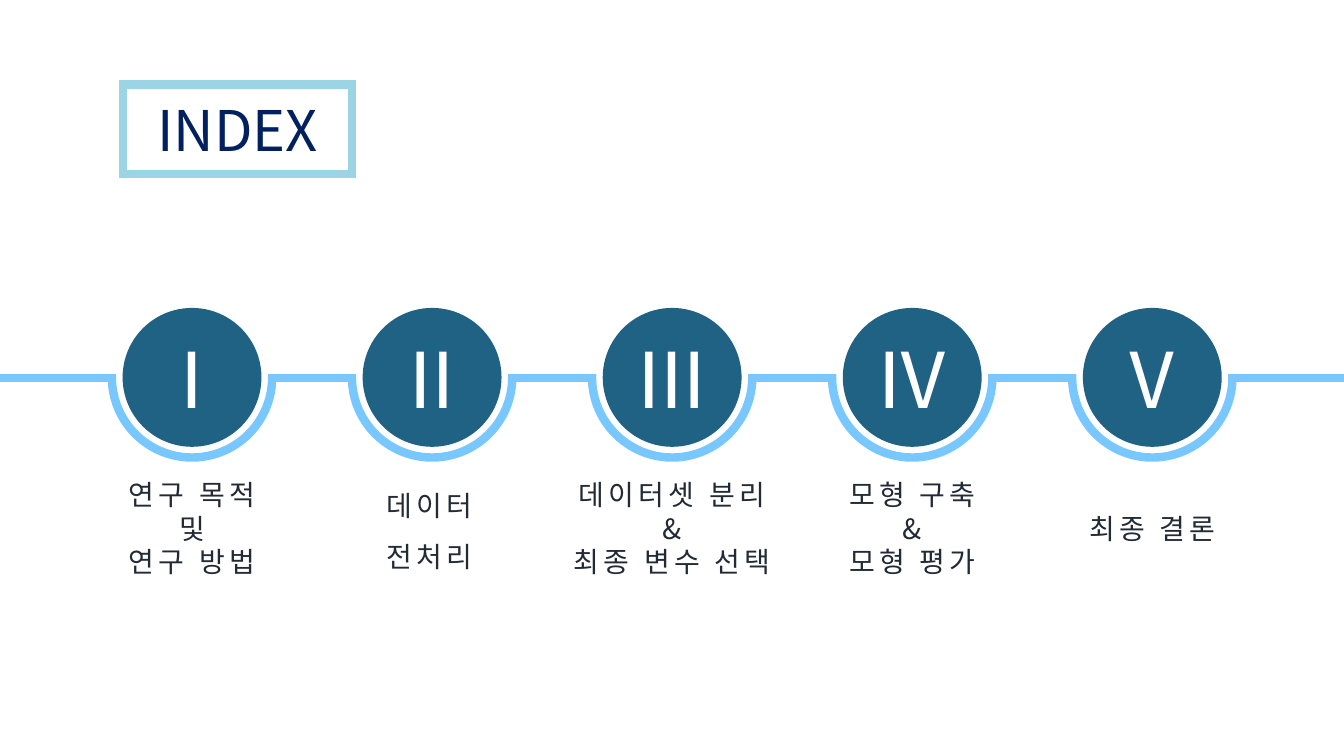
from lxml import etree
from pptx import Presentation
from pptx.dml.color import RGBColor
from pptx.enum.shapes import MSO_CONNECTOR as Link, MSO_SHAPE as Form
from pptx.enum.text import MSO_ANCHOR as Anchor, MSO_AUTO_SIZE as Fit, PP_ALIGN as Align
from pptx.oxml.ns import qn
from pptx.util import Cm, Pt

FACE = "Noto Sans CJK KR"
WIDE, HIGH = 33.87, 19.05
SKY, TEAL, WHITE, NAVY, INK = "79C7FF", "1F6283", "FFFFFF", "002060", "222A35"
FIRST, STEP, AXIS = 4.84, 6.05, 9.51

# Numeral, label lines, label width, label middle, paragraph format
STAGES = [
    ("Ⅰ", ["연구 목적", "및", "연구 방법"], 3.84, 13.3, {"alignment": Align.CENTER}),
    ("Ⅱ", ["데이터", "전처리"], 2.8, 13.16,
     {"alignment": Align.JUSTIFY, "line_spacing": 1.5}),
    ("Ⅲ", ["데이터셋 분리", "&", "최종 변수 선택"], 5.61, 13.3, {"alignment": Align.CENTER}),
    ("Ⅳ", ["모형 구축", "&", "모형 평가"], 3.84, 13.3, {"alignment": Align.CENTER}),
    ("Ⅴ", ["최종 결론"], 3.84, 13.3, {"alignment": Align.CENTER}),
]


def color(code):
    return RGBColor.from_string(code)


def apply(item, style):
    for name, value in style.items():
        setattr(item, name, value)


def stroke(line, code):
    line.color.rgb = color(code)
    line.width = Pt(6)


def write(frame, lines, size, code, style, gap=0):
    for n, text in enumerate(lines):
        para = frame.paragraphs[0] if n == 0 else frame.add_paragraph()
        apply(para, style)
        run = para.add_run()
        run.text = text
        apply(run.font, {"size": Pt(size), "name": FACE, "bold": False})
        run.font.color.rgb = color(code)
        props = run.font._element
        etree.SubElement(props, qn("a:ea"), typeface=FACE)
        if gap:
            props.set("spc", str(gap * 100))


def shape(slide, form, mid, top, width, height, fill, edge=None):
    item = slide.shapes.add_shape(form, Cm(mid - width / 2), Cm(top), Cm(width), Cm(height))
    item.shadow.inherit = False
    item.fill.solid()
    item.fill.fore_color.rgb = color(fill)
    if edge:
        stroke(item.line, edge)
    else:
        item.line.fill.background()
    return item


def heading(slide):
    title = slide.shapes.title
    apply(title, {"left": Cm(3.1), "top": Cm(2.13), "width": Cm(5.77), "height": Cm(2.26)})
    stroke(title.line, "9BD4E4")
    etree.SubElement(title.line._get_or_add_ln(), qn("a:miter"), lim="800000")
    apply(title.text_frame, {"auto_size": Fit.NONE, "vertical_anchor": Anchor.MIDDLE})
    write(title.text_frame, ["INDEX"], 40, NAVY, {"alignment": Align.CENTER})


def track(slide):
    line = slide.shapes.add_connector(Link.STRAIGHT, 0, Cm(HIGH / 2), Cm(WIDE), Cm(HIGH / 2))
    stroke(line.line, SKY)
    etree.SubElement(line._element.spPr, qn("a:effectLst"))


def badge(slide, mid, sign):
    # Lower half ring: the white cover hides its upper half
    shape(slide, Form.OVAL, mid, AXIS - 2.02, 4.04, 4.04, WHITE, SKY)
    shape(slide, Form.RECTANGLE, mid, 7.16, 4.52, 2.26, WHITE)
    disc = shape(slide, Form.OVAL, mid, AXIS - 1.75, 3.5, 3.5, TEAL)
    apply(disc.text_frame, {"vertical_anchor": Anchor.MIDDLE,
                            "margin_left": 0, "margin_right": 0})
    write(disc.text_frame, [sign], 55, WHITE, {"alignment": Align.CENTER})


def label(slide, mid, lines, width, level, style):
    height = 2.82
    box = slide.shapes.add_textbox(Cm(mid - width / 2), Cm(level - height / 2),
                                   Cm(width), Cm(height))
    apply(box.text_frame, {"word_wrap": False, "vertical_anchor": Anchor.MIDDLE})
    write(box.text_frame, lines, 20, INK, style, gap=3)


def main():
    deck = Presentation()
    apply(deck, {"slide_width": Cm(WIDE), "slide_height": Cm(HIGH)})
    slide = deck.slides.add_slide(deck.slide_layouts[5])

    # Title and timeline
    heading(slide)
    track(slide)

    # Stages at equal steps
    for n, (sign, lines, width, level, style) in enumerate(STAGES):
        mid = FIRST + n * STEP
        badge(slide, mid, sign)
        label(slide, mid, lines, width, level, style)

    deck.save("out.pptx")


if __name__ == "__main__":
    main()
